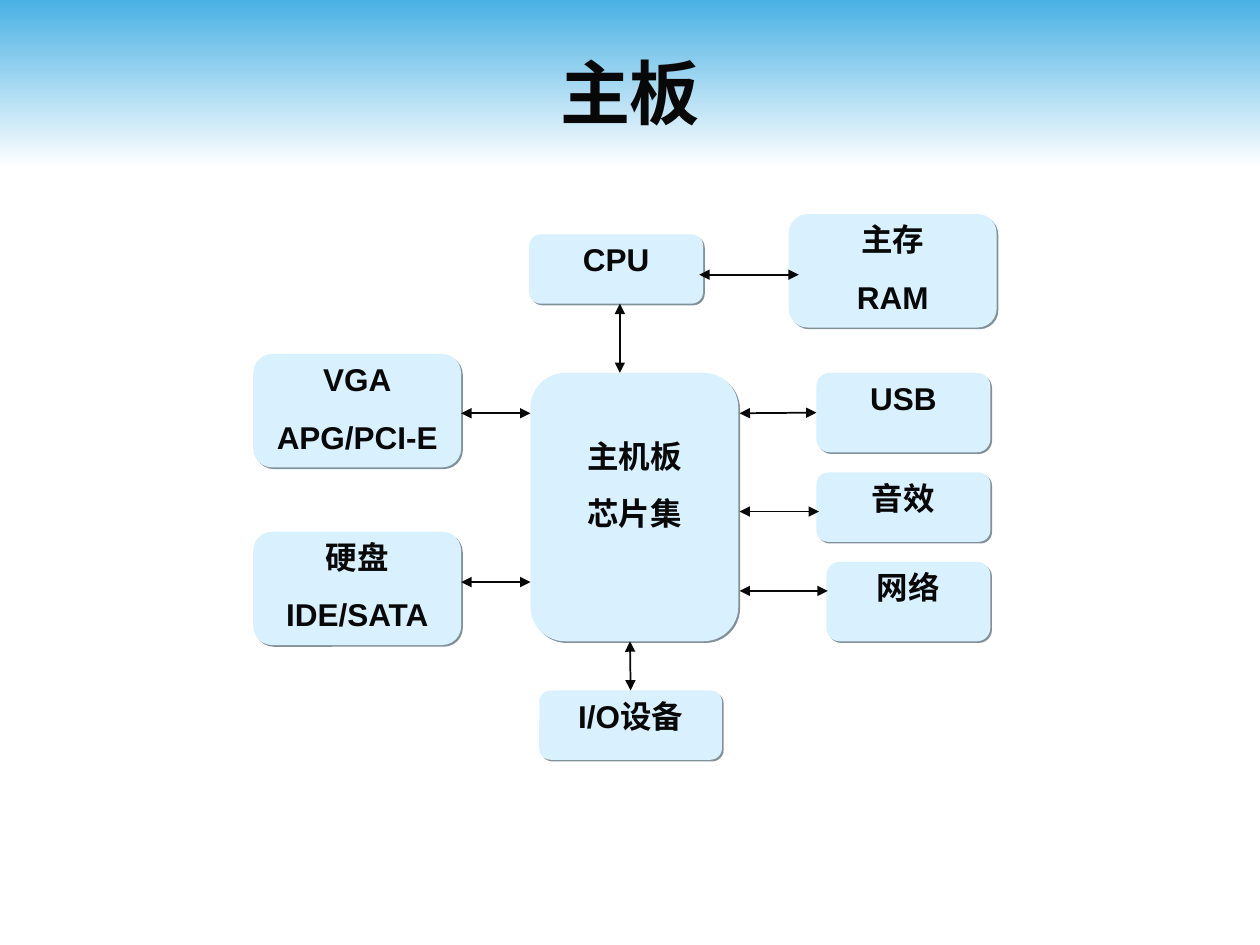
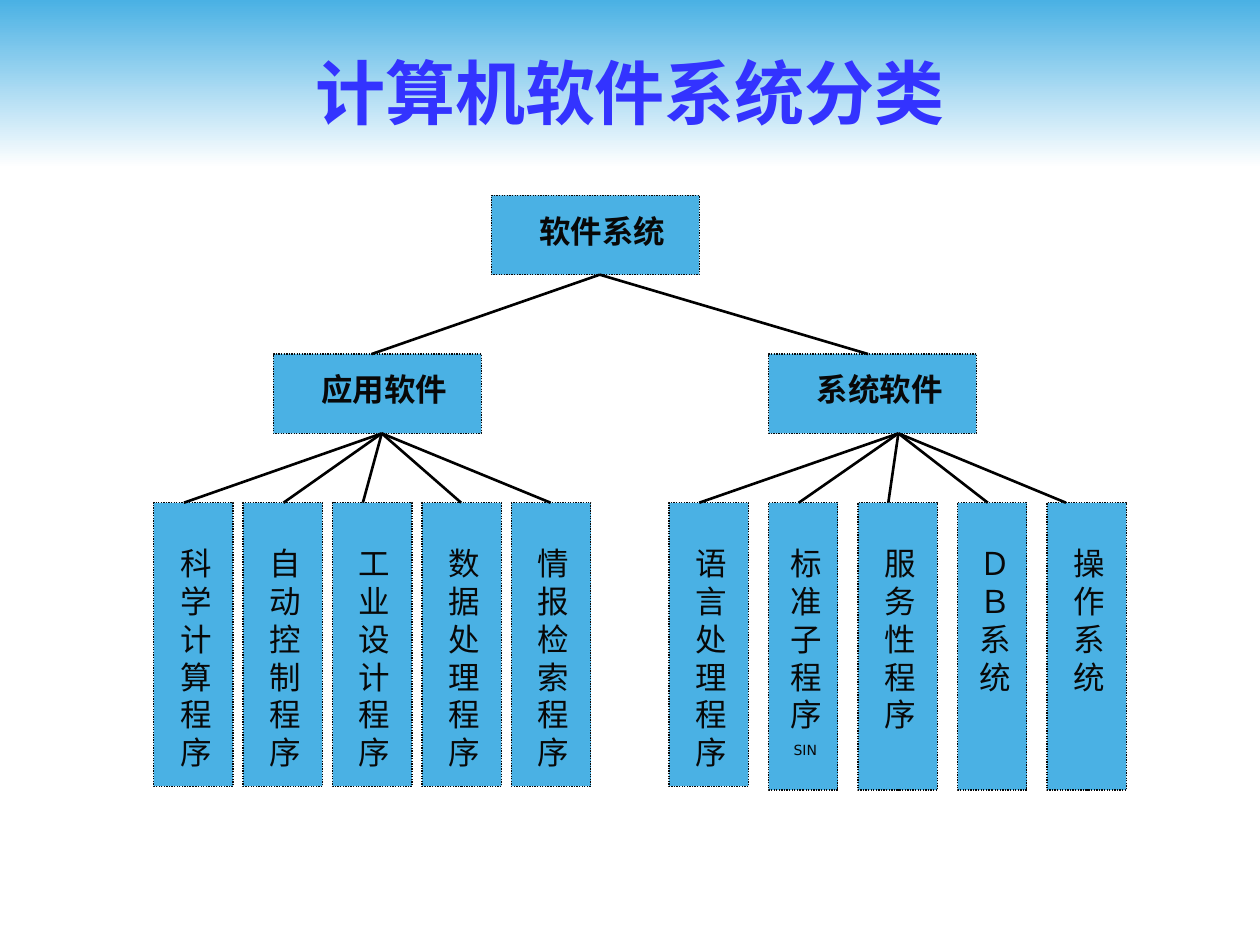
from dataclasses import dataclass
from typing import Any, NamedTuple

from lxml.etree import SubElement
from pptx import Presentation
from pptx.dml.color import RGBColor
from pptx.enum.dml import MSO_LINE
from pptx.enum.shapes import MSO_CONNECTOR, MSO_SHAPE
from pptx.enum.text import MSO_ANCHOR, MSO_AUTO_SIZE, PP_ALIGN
from pptx.oxml.ns import qn
from pptx.util import Inches, Pt


# Theme: colours, fonts and type sizes
@dataclass(frozen=True)
class Theme:
    ink: RGBColor = RGBColor.from_string("080808")
    black: RGBColor = RGBColor.from_string("000000")
    white: RGBColor = RGBColor.from_string("FFFFFF")
    blue: RGBColor = RGBColor.from_string("4AB1E4")
    pale: RGBColor = RGBColor.from_string("D9F1FF")
    violet: RGBColor = RGBColor.from_string("3333FF")
    shadow: str = "829199"
    sans: str = "Arial"
    tree_font: str = "DejaVu Sans"
    title_size: int = 40
    body_size: int = 18
    note_size: int = 8
    gap: float = 11.2


THEME = Theme()

# Grid: 100 columns by 75 rows of square cells
COLUMNS, ROWS = 100, 75
WIDTH, HEIGHT = Inches(10), Inches(7.5)


class Area(NamedTuple):
    left: float
    top: float
    width: float
    height: float

    def lengths(self) -> list[int]:
        cells = (WIDTH / COLUMNS, HEIGHT / ROWS) * 2
        return [round(value * cell) for value, cell in zip(self, cells)]


class Line(NamedTuple):
    text: str
    size: float = THEME.body_size
    space_before: float = 0


class Box(NamedTuple):
    area: Area
    lines: tuple[str, ...]
    label_drop: float = 0


class Link(NamedTuple):
    start: tuple[float, float]
    end: tuple[float, float]
    joined_box: str = ""
    joined_side: int = 0


class Leaf(NamedTuple):
    text: str
    width: float
    link_offset: float
    height: float
    note: str = ""


class Branch(NamedTuple):
    name: str
    left: float
    hub: float
    leaf_left: float
    leaf_gap: float
    leaves: tuple[Leaf, ...]


# Shared drawing functions
def set_format(target: Any, values: dict[str, Any]) -> None:
    for name, value in values.items():
        setattr(target, name, value)


def set_font(paragraph: Any, name: str, size: float, color: RGBColor, bold: bool) -> None:
    for run in paragraph.runs:
        set_format(run.font, {"name": name, "size": Pt(size), "bold": bold})
        run.font.color.rgb = color
        SubElement(run.font._element, qn("a:ea"), typeface=name)


def add_panel(shapes: Any, kind: MSO_SHAPE, area: Area, fill: RGBColor) -> Any:
    shape = shapes.add_shape(kind, *area.lengths())
    shape.shadow.inherit = False
    shape.fill.solid()
    shape.fill.fore_color.rgb = fill
    shape.line.fill.background()
    return shape


def add_label(shapes: Any, area: Area, lines: list[Line], font: str, bold: bool) -> None:
    frame = shapes.add_textbox(*area.lengths()).text_frame
    set_format(frame, {"word_wrap": True, "auto_size": MSO_AUTO_SIZE.SHAPE_TO_FIT_TEXT})
    for index, line in enumerate(lines):
        paragraph = frame.add_paragraph() if index else frame.paragraphs[0]
        set_format(paragraph, {"text": line.text, "alignment": PP_ALIGN.CENTER})
        if index:
            paragraph.space_before = Pt(line.space_before)
        set_font(paragraph, font, line.size, THEME.ink, bold)


def add_link(slide: Any, link: Link, color: RGBColor, width: float, arrows: bool = False) -> Any:
    ends = Area(*link.start, *link.end).lengths()
    connector = slide.shapes.add_connector(MSO_CONNECTOR.STRAIGHT, *ends)
    connector.line.color.rgb = color
    connector.line.width = Pt(width)
    if arrows:
        outline = connector.line._get_or_add_ln()
        for end in ("a:headEnd", "a:tailEnd"):
            SubElement(outline, qn(end), type="triangle")
    SubElement(connector._element.spPr, qn("a:effectLst"))
    return connector


# Master band and title position, shared by both slides
def prepare_master(presentation: Any, slide: Any) -> None:
    band = add_panel(slide.shapes, MSO_SHAPE.RECTANGLE, Area(0, 0, COLUMNS, 13.3), THEME.blue)
    band.fill.gradient()
    band.fill.gradient_angle = 270
    for stop, color in zip(band.fill.gradient_stops, (THEME.blue, THEME.white)):
        stop.color.rgb = color
    presentation.slide_master.shapes._spTree.insert(2, band._element)


def add_title(slide: Any, text: str, color: RGBColor) -> None:
    title = slide.shapes.title
    names = ("left", "top", "width", "height")
    set_format(title, dict(zip(names, Area(5, 2.5, 90, 9.5).lengths())))
    frame = title.text_frame
    set_format(frame, {"text": text, "vertical_anchor": MSO_ANCHOR.MIDDLE})
    paragraph = frame.paragraphs[0]
    paragraph.alignment = PP_ALIGN.CENTER
    set_font(paragraph, THEME.sans, THEME.title_size, color, True)


# Slide 1: mainboard diagram
BOARD = {
    "chipset": Box(Area(42.1, 29.6, 16.5, 21.3), ("主机板", "芯片集"), 4.6),
    "cpu": Box(Area(42, 18.6, 13.8, 5.5), ("CPU",)),
    "graphics": Box(Area(20.1, 28.1, 16.5, 9), ("VGA", "APG/PCI-E")),
    "disk": Box(Area(20.1, 42.2, 16.5, 9), ("硬盘", "IDE/SATA")),
    "devices": Box(Area(42.8, 54.8, 14.5, 5.5), ("I/O设备",)),
    "network": Box(Area(65.6, 44.6, 13, 6.3), ("网络",)),
    "audio": Box(Area(64.8, 37.5, 13.8, 5.5), ("音效",)),
    "usb": Box(Area(64.8, 29.6, 13.8, 6.3), ("USB",)),
    "memory": Box(Area(62.6, 17, 16.5, 9), ("主存", "RAM")),
}
BUSES = (
    Link((55.5, 21.8), (63.4, 21.8)),
    Link((58.7, 32.8), (64.9, 32.8), "usb", 1),
    Link((36.6, 32.8), (42.1, 32.8)),
    Link((58.7, 46.9), (65.7, 46.9)),
    Link((36.6, 46.2), (42.1, 46.2)),
    Link((58.7, 40.6), (65, 40.6)),
    Link((50, 50.9), (50, 54.8), "devices", 0),
    Link((49.2, 24.1), (49.2, 29.6)),
)
OVERHANG = 0.7  # label reaches past its box on each side


def add_board_box(slide: Any, box: Box) -> Any:
    shapes = slide.shapes.add_group_shape().shapes
    panel = add_panel(shapes, MSO_SHAPE.ROUNDED_RECTANGLE, box.area, THEME.pale)
    effects = panel._element.spPr.find(qn("a:effectLst"))
    shadow = SubElement(effects, qn("a:outerShdw"), dist=str(Pt(1.4)), dir="2700000",
                        algn="ctr", rotWithShape="0")
    SubElement(shadow, qn("a:srgbClr"), val=THEME.shadow)
    left, top, width, _ = box.area
    label = Area(left - OVERHANG, top + box.label_drop, width + 2 * OVERHANG,
                 4.6 * len(box.lines) - 0.6)
    lines = [Line(text, space_before=THEME.gap) for text in box.lines]
    add_label(shapes, label, lines, THEME.sans, True)
    return panel


def draw_mainboard(slide: Any) -> None:
    add_title(slide, "主板", THEME.ink)
    panels = {name: add_board_box(slide, box) for name, box in BOARD.items()}
    for bus in BUSES:
        connector = add_link(slide, bus, THEME.ink, 1, arrows=True)
        if bus.joined_box:
            connector.end_connect(panels[bus.joined_box], bus.joined_side)


# Slide 2: software tree
NODE_WIDTH, NODE_HEIGHT = 16.5, 6.3
ROOT_TOP, BRANCH_TOP, LEAF_TOP = 15.5, 28.1, 39.9
ROOT_LEFT, ROOT_HUB = 39, 47.6
BRANCHES = (
    Branch("应用软件", 21.7, 30.3, 12.2, 0.8, (
        Leaf("科学计算程序", 6.3, 2.4, 22.5),
        Leaf("自动控制程序", 6.3, 3.2, 22.5),
        Leaf("工业设计程序", 6.3, 2.4, 22.5),
        Leaf("数据处理程序", 6.3, 3.1, 22.5),
        Leaf("情报检索程序", 6.3, 3.1, 22.5),
    )),
    Branch("系统软件", 61, 71.3, 53.1, 1.6, (
        Leaf("语言处理程序", 6.3, 2.4, 22.5),
        Leaf("标准子程序", 5.5, 2.4, 22.8, "SIN"),
        Leaf("服务性程序", 6.3, 2.4, 22.8),
        Leaf("ＤＢ系统", 5.5, 2.4, 22.8),
        Leaf("操作系统", 6.3, 1.5, 22.8),
    )),
)
BRANCH_LINK_ENDS = (29.5, 68.9)


def add_tree_box(slide: Any, area: Area, label: Area, lines: list[Line], bold: bool) -> None:
    shapes = slide.shapes.add_group_shape().shapes
    panel = add_panel(shapes, MSO_SHAPE.RECTANGLE, area, THEME.blue)
    panel.line.color.rgb = THEME.ink
    set_format(panel.line, {"width": Pt(0.75), "dash_style": MSO_LINE.ROUND_DOT})
    add_label(shapes, label, lines, THEME.tree_font, bold)


def add_node(slide: Any, left: float, top: float, text: str) -> None:
    label = Area(left + 2.4, top + 0.8, 12.8, 4)
    add_tree_box(slide, Area(left, top, NODE_WIDTH, NODE_HEIGHT), label, [Line(text)], True)


def add_branch(slide: Any, branch: Branch) -> None:
    add_node(slide, branch.left, BRANCH_TOP, branch.name)
    left = branch.leaf_left
    for leaf in branch.leaves:
        area = Area(left, LEAF_TOP, leaf.width, leaf.height)
        label = Area(left + 0.14 * leaf.width, LEAF_TOP + 2.8, 0.78 * leaf.width,
                     3 * len(leaf.text) + 1)
        lines = [Line(leaf.text)]
        if leaf.note:
            lines.append(Line(leaf.note, THEME.note_size, 5))
        add_tree_box(slide, area, label, lines, False)
        link = Link((branch.hub, BRANCH_TOP + NODE_HEIGHT), (left + leaf.link_offset, LEAF_TOP))
        add_link(slide, link, THEME.black, 1.5)
        left += leaf.width + branch.leaf_gap


def draw_software_tree(slide: Any) -> None:
    add_title(slide, "计算机软件系统分类", THEME.violet)
    add_node(slide, ROOT_LEFT, ROOT_TOP, "软件系统")
    for branch, end in zip(BRANCHES, BRANCH_LINK_ENDS):
        add_branch(slide, branch)
        link = Link((ROOT_HUB, ROOT_TOP + NODE_HEIGHT), (end, BRANCH_TOP))
        add_link(slide, link, THEME.black, 1.5)


def main() -> None:
    presentation = Presentation()
    set_format(presentation, {"slide_width": WIDTH, "slide_height": HEIGHT})
    title_only = presentation.slide_layouts[5]
    slides = [presentation.slides.add_slide(title_only) for _ in range(2)]
    prepare_master(presentation, slides[0])
    draw_mainboard(slides[0])
    draw_software_tree(slides[1])
    presentation.save("out.pptx")


if __name__ == "__main__":
    main()
